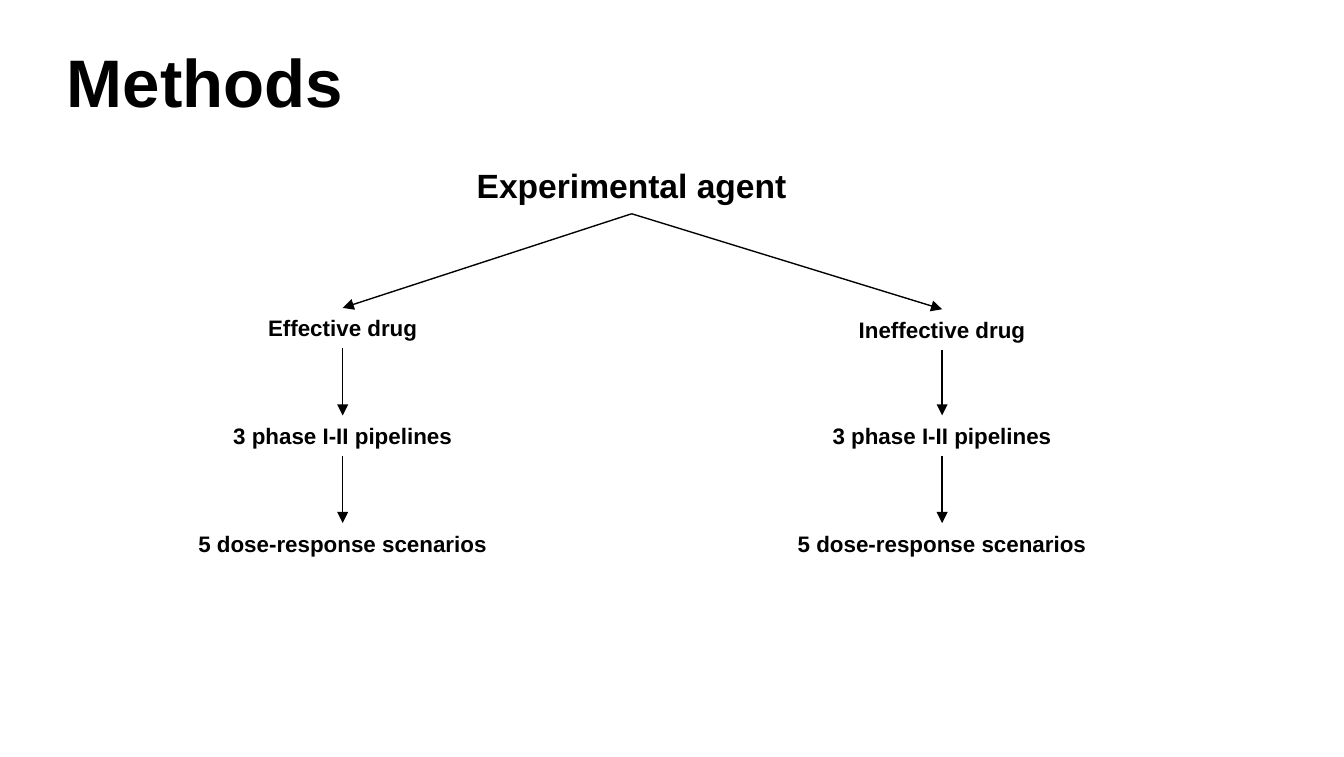
import pptx
import pptx.util
import pptx.dml.color
import pptx.enum.shapes
import pptx.enum.text
import pptx.oxml.ns
import lxml.etree

Inches = pptx.util.Inches
align = pptx.enum.text.PP_ALIGN
colors = {"ink": "000000", "paper": "FFFFFF"}

deck = pptx.Presentation()
deck.slide_width, deck.slide_height = Inches(10), Inches(5.63)
slide = deck.slides.add_slide(deck.slide_layouts[6])
slide.background.fill.solid()
slide.background.fill.fore_color.rgb = pptx.dml.color.RGBColor.from_string(colors["paper"])


def label(text, left, top, width, height, size=12, side=align.CENTER):
    box = slide.shapes.add_textbox(Inches(left), Inches(top), Inches(width), Inches(height))
    box.text_frame.word_wrap = True
    para = box.text_frame.paragraphs[0]
    para.alignment = side
    run = para.add_run()
    run.text = text
    run.font.name = "Arial"
    run.font.size = pptx.util.Pt(size)
    run.font.bold = True
    run.font.color.rgb = pptx.dml.color.RGBColor.from_string(colors["ink"])


def arrow(x1, y1, x2, y2):
    link = slide.shapes.add_connector(
        pptx.enum.shapes.MSO_CONNECTOR.STRAIGHT,
        Inches(x1), Inches(y1), Inches(x2), Inches(y2))
    link.line.width = pptx.util.Pt(0.75)
    link.line.color.rgb = pptx.dml.color.RGBColor.from_string(colors["ink"])
    tip = lxml.etree.SubElement(link.line._get_or_add_ln(), pptx.oxml.ns.qn("a:tailEnd"))
    tip.set("type", "triangle")
    lxml.etree.SubElement(link._element.spPr, pptx.oxml.ns.qn("a:effectLst"))


# Title and root of the tree
label("Methods", 0.4, 0.25, 9.49, 0.71, size=36, side=align.LEFT)
label("Experimental agent", 3.13, 1.18, 3.14, 0.4, size=18)

# Two branches: drug, pipelines, scenarios
wide, high, step = 3.33, 0.3, 0.8
for drug, mid, first in [("Effective drug", 2.55, 2.29), ("Ineffective drug", 7.01, 2.3)]:
    arrow(4.7, 1.59, mid, first)
    tops = [first, 3.09, 3.09 + step]
    steps = [drug, "3 phase I-II pipelines", "5 dose-response scenarios"]
    for text, top in zip(steps, tops):
        label(text, mid - wide / 2, top, wide, high)
    for top, below in zip(tops, tops[1:]):
        arrow(mid, top + high, mid, below)

deck.save("out.pptx")
